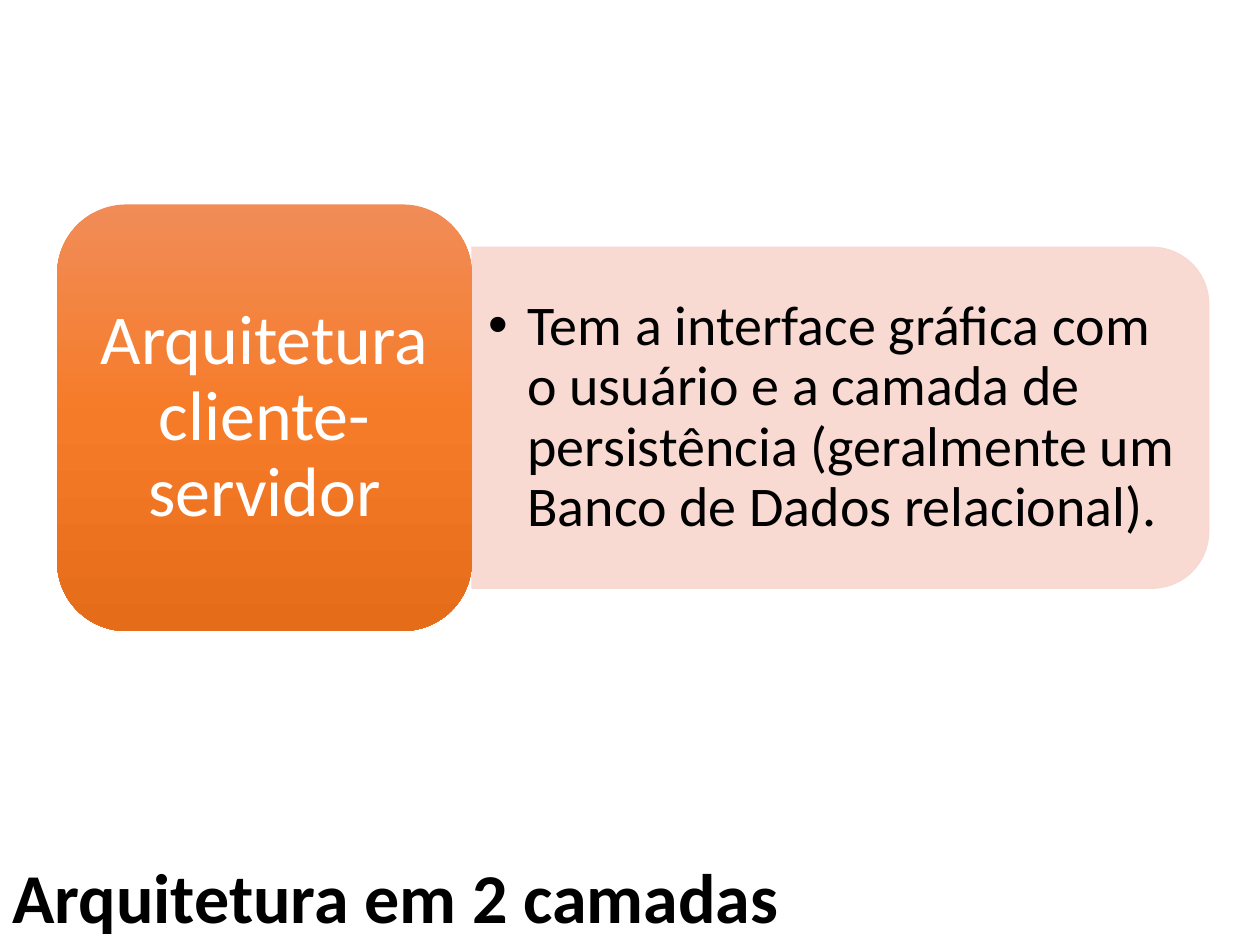
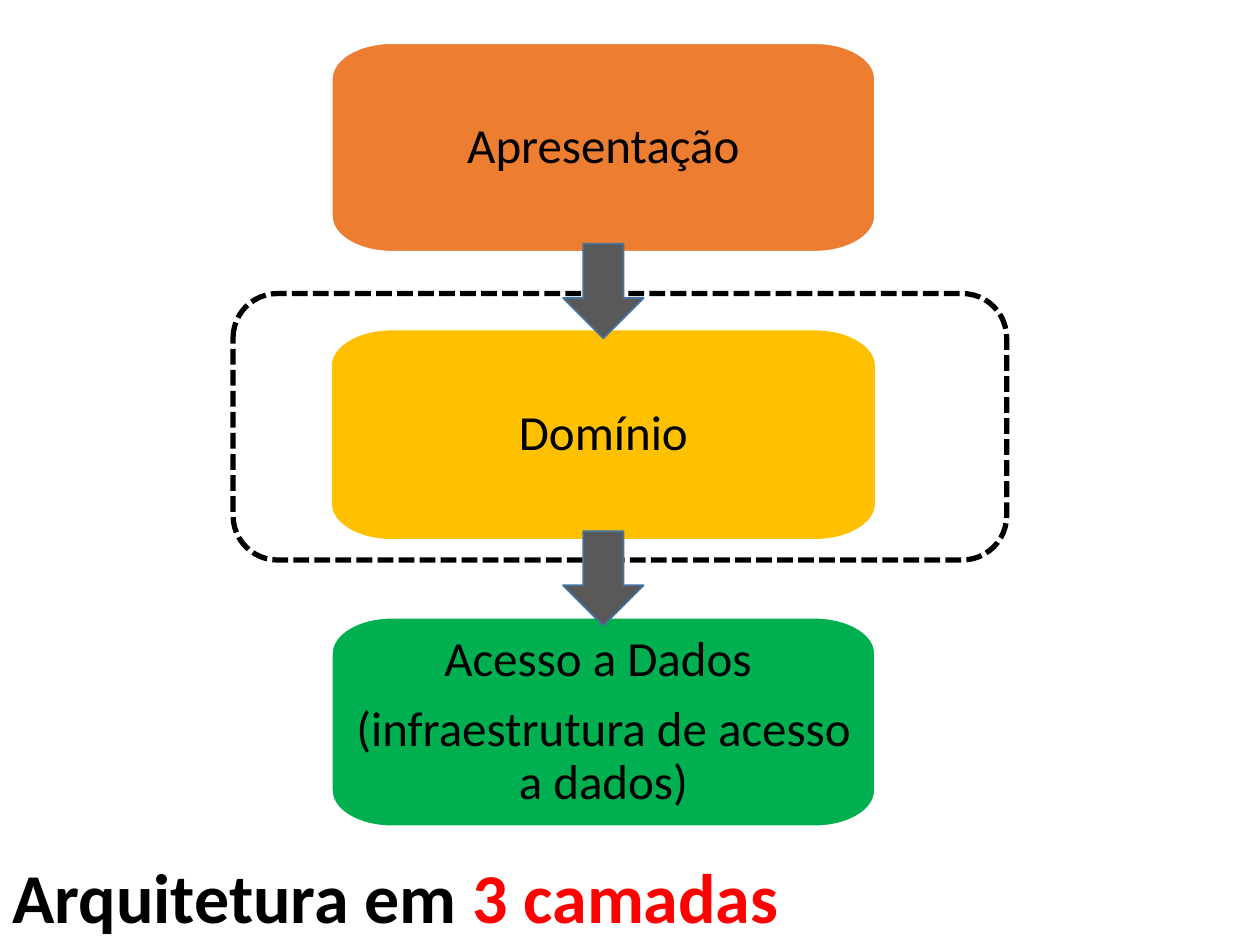
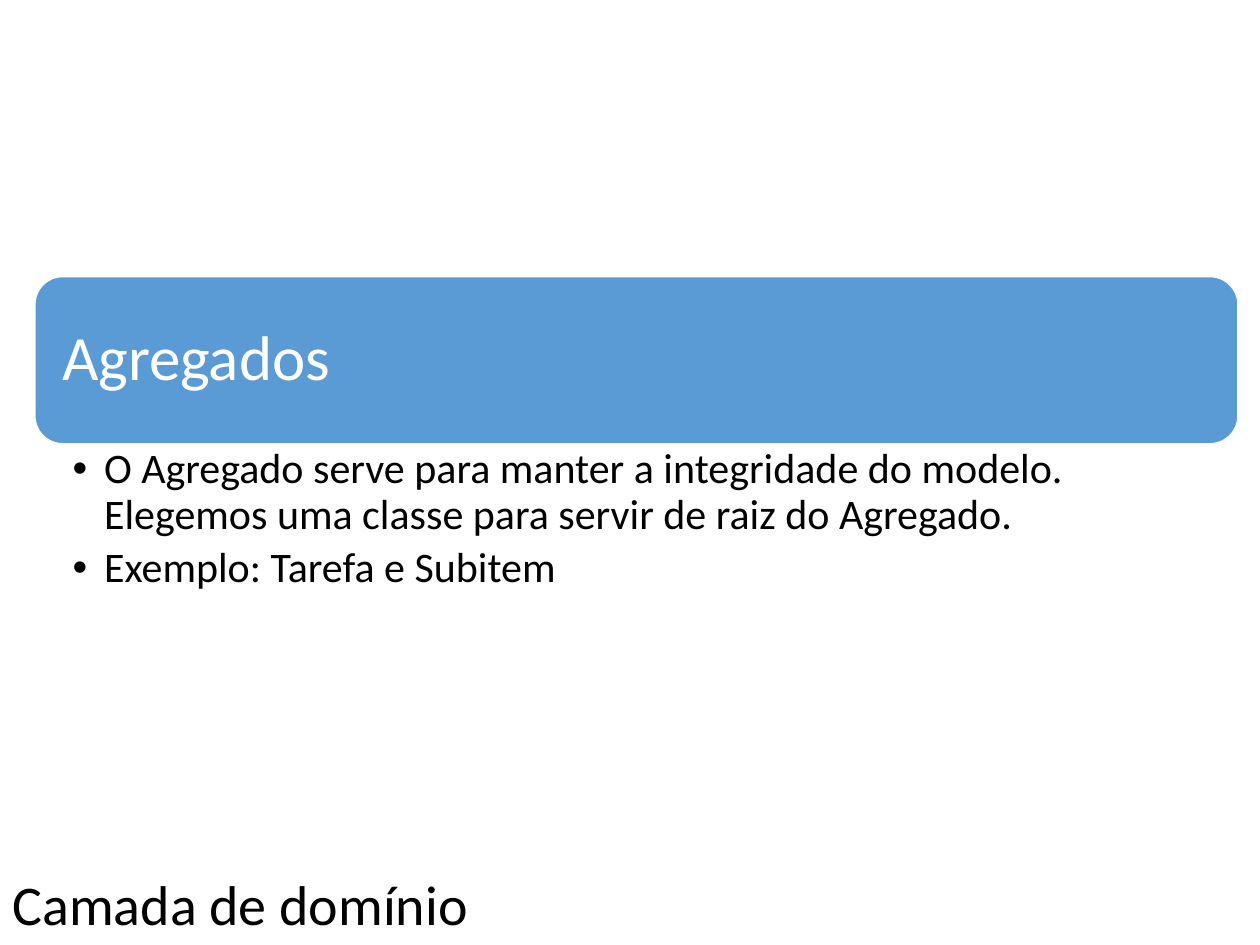
from copy import deepcopy

from lxml import etree
from pptx import Presentation
from pptx.dml.color import RGBColor
from pptx.enum.dml import MSO_LINE
from pptx.enum.shapes import MSO_SHAPE
from pptx.enum.text import MSO_ANCHOR, MSO_AUTO_SIZE, PP_ALIGN
from pptx.oxml.ns import qn
from pptx.util import Inches, Pt

WIDE, HIGH = Inches(10), Inches(7.5)
CELL = WIDE // 100
FONT = "Calibri"
ROUND, TAB = MSO_SHAPE.ROUNDED_RECTANGLE, MSO_SHAPE.ROUND_2_SAME_RECTANGLE
ARROW, DASH = MSO_SHAPE.DOWN_ARROW, MSO_LINE.SQUARE_DOT
LEFT, MID = PP_ALIGN.LEFT, PP_ALIGN.CENTER
TOP, CENTER = MSO_ANCHOR.TOP, MSO_ANCHOR.MIDDLE
GROW = MSO_AUTO_SIZE.SHAPE_TO_FIT_TEXT
HUES = {
    "ink": "000000", "paper": "FFFFFF", "red": "FF0000", "peach": "F8D7CE",
    "orange": "ED7D31", "gold": "FFC000", "green": "00B050", "blue": "5B9BD5",
    "gray": "595959", "navy": "43739E",
    "light": "F18C57", "vivid": "F67B28", "deep": "E56C19",
}


def hue(name):
    """Return a named colour."""
    return RGBColor.from_string(HUES[name])


def grid(*cells):
    """Turn grid cells into slide lengths."""
    return [round(n * CELL) for n in cells]


def paint(shape, fill=None, line=None, width=1):
    """Set a shape's fill and line and drop its shadow."""
    shape.shadow.inherit = False
    if fill:
        shape.fill.solid()
        shape.fill.fore_color.rgb = hue(fill)
    if line:
        shape.line.color.rgb = hue(line)
        shape.line.width = Pt(width)
    else:
        shape.line.fill.background()
    return shape


def draw(slide, kind, box, *style):
    """Add a painted preset shape on the grid."""
    return paint(slide.shapes.add_shape(kind, *grid(*box)), *style)


def bullet(para, indent):
    """Give a second-level paragraph a round bullet and hanging indent."""
    para.level = 1
    props = para._p.get_or_add_pPr()
    (left,) = grid(indent)
    props.set("marL", str(left))
    props.set("indent", str(-left))
    etree.SubElement(props, qn("a:buFont")).set("typeface", "Arial")
    etree.SubElement(props, qn("a:buChar")).set("char", "•")


def write(shape, lines, size, color="ink", pads=(1, 0.5, 1, 0.5), align=LEFT,
          anchor=CENTER, indent=0, after=0, lead=0.9):
    """Fill a shape with evenly styled paragraphs."""
    frame = shape.text_frame
    frame.word_wrap = True
    frame.vertical_anchor = anchor
    (frame.margin_left, frame.margin_top,
     frame.margin_right, frame.margin_bottom) = grid(*pads)
    for i, line in enumerate(lines):
        para = frame.paragraphs[0] if i == 0 else frame.add_paragraph()
        para.add_run().text = line
        if indent:
            bullet(para, indent)
        para.alignment = align
        para.line_spacing = lead
        para.space_after = Pt(after * size)
        font = para.font
        font.name, font.size = FONT, Pt(size)
        font.color.rgb = hue(color)
    return frame


def text(slide, box, lines, size, **style):
    """Add a text box on the grid."""
    return write(slide.shapes.add_textbox(*grid(*box)), lines, size, **style)


def title(slide, box, words, size, bold=True, accent=None):
    """Write the slide title, with an optional red ending."""
    frame = text(slide, box, [words], size, anchor=TOP, lead=1)
    frame.auto_size = GROW
    para = frame.paragraphs[0]
    para.font.bold = bold
    if accent:
        run = para.add_run()
        run.text = accent
        run.font.color.rgb = hue("red")


def shade(shape, names):
    """Blend evenly spaced colours from top to bottom."""
    shape.fill.gradient()
    shape.fill.gradient_angle = 270
    stops = shape._element.spPr.find(".//" + qn("a:gsLst"))
    for _ in names[2:]:
        stops.append(deepcopy(stops[0]))
    for i, (stop, name) in enumerate(zip(shape.fill.gradient_stops, names)):
        stop.position = i / (len(names) - 1)
        stop.color.rgb = hue(name)


def label(slide, box, words, size, **style):
    """Write white text inside the corners of a rounded box."""
    x, y, w, h = box
    edge = 0.05 * min(w, h)
    text(slide, (x + edge, y + edge, w - 2 * edge, h - 2 * edge), [words],
         size, color="paper", after=0.35, **style)


def panel(slide, box, head, note):
    """Set a shaded heading card beside its pale note tab."""
    x, y, w, h = box
    card, tall = 0.36 * w, 0.8 * h
    long = w - card
    tab = draw(slide, TAB, (x + card + (long - tall) / 2, y + (h - long) / 2,
                            tall, long), "peach", "peach", 0.5)
    tab.rotation = 90
    for color in tab._element.spPr.iter(qn("a:srgbClr")):
        etree.SubElement(color, qn("a:alpha")).set("val", "90000")
    text(slide, (x + card, y + 0.14 * h, long - 1.3, 0.72 * h), [note], 32,
         pads=(1.3, 0.7, 1.3, 0.7), indent=3.12, after=0.15)
    front = (x, y, card, h)
    shade(draw(slide, ROUND, front), ("light", "vivid", "deep"))
    label(slide, front, head, 40, pads=(1.7, 0.8, 1.7, 0.8), align=MID)


def bend(shape, knots):
    """Turn every second side of an outline into a curve."""
    sides = shape._element.spPr.findall(".//" + qn("a:lnTo"))
    for side, knot in zip(sides[::2], knots):
        end = side[0]
        side.tag = qn("a:cubicBezTo")
        for x, y in knot:
            point = etree.Element(qn("a:pt"))
            point.set("x", str(x))
            point.set("y", str(y))
            end.addprevious(point)


def layer(slide, box, lines, fill, line):
    """Draw a box with oval corners and centred text."""
    x, y, w, h = box
    rx, ry, pull = 0.11 * w, 0.17 * h, 0.45
    r, b = x + w, y + h
    corners = ((x, y, 1, 1), (r, y, -1, 1), (r, b, -1, -1), (x, b, 1, -1))
    points, knots = [], []
    for i, (cx, cy, sx, sy) in enumerate(corners):
        flip = 1 if i % 2 == 0 else -1
        points += [grid(cx, cy + sy * ry), grid(cx + sx * rx, cy)][::flip]
        knots.append([grid(cx - x, cy - y + sy * pull * ry),
                      grid(cx - x + sx * pull * rx, cy - y)][::flip])
    path = slide.shapes.build_freeform(*points[0])
    path.add_line_segments(points[1:], close=True)
    shape = paint(path.convert_to_shape(), fill, line)
    bend(shape, knots)
    write(shape, lines, 28, pads=(0.9, 0.7, 0.9, 0.7), align=MID, after=0.35)


def stack(slide, box, layers):
    """Stack equal layers and join them with arrows."""
    x, y, w, h = box
    gap = 6.25
    tall = (h - gap * (len(layers) - 1)) / len(layers)
    tops = [y + i * (tall + gap) for i in range(len(layers))]
    for top, (lines, fill, line) in zip(tops, layers):
        layer(slide, (x, top, w, tall), lines, fill, line)
    wide, long = 6.4, 7.5
    for top in tops[1:]:
        draw(slide, ARROW, (x + (w - wide) / 2, top - (gap + long) / 2,
                            wide, long), "gray", "navy")


def topic(slide, box, head, notes):
    """Place a heading bar over its bulleted notes."""
    x, y, w, h = box
    bar = 0.515 * h
    front = (x, y, w, bar)
    draw(slide, ROUND, front, "blue", "paper")
    label(slide, front, head, 36, pads=(1.5,) * 4)
    text(slide, (x, y + bar, w, h - bar), notes, 24,
         pads=(3, 0.3, 1.9, 0.3), anchor=TOP, indent=2.5, after=0.2)


def two(slide):
    """Build the slide on two layers."""
    panel(slide, (4.54, 16.23, 91.4, 33.86), "Arquitetura cliente-servidor",
          "Tem a interface gráfica com o usuário e a camada de persistência "
          "(geralmente um Banco de Dados relacional).")
    title(slide, (0, 67.26, 95.8, 7.74), "Arquitetura em 2 camadas", 40)


def three(slide):
    """Build the slide on three layers."""
    frame = draw(slide, ROUND, (18.5, 23.3, 61.4, 21.15), "paper", "ink", 3)
    frame.line.dash_style = DASH
    title(slide, (0, 67.26, 95.8, 7.74), "Arquitetura em ", 40,
          accent="3 camadas")
    stack(slide, (26.34, 3.43, 43.1, 62.15), (
        (["Apresentação"], "orange", "paper"),
        (["Domínio"], "gold", None),
        (["Acesso a Dados ", "(infraestrutura de acesso a dados)"],
         "green", "paper"),
    ))


def domain(slide):
    """Build the slide on the domain layer."""
    title(slide, (0, 68.5, 100, 6.4), "Camada de domínio", 32, bold=False)
    topic(slide, (2.76, 21.94, 95.5, 25.8), "Agregados", [
        "O Agregado serve para manter a integridade do modelo. "
        "Elegemos uma classe para servir de raiz do Agregado.",
        "Exemplo: Tarefa e Subitem",
    ])


def main():
    """Build and save the deck."""
    deck = Presentation()
    deck.slide_width, deck.slide_height = WIDE, HIGH
    for build in (two, three, domain):
        build(deck.slides.add_slide(deck.slide_layouts[6]))
    deck.save("out.pptx")


if __name__ == "__main__":
    main()
